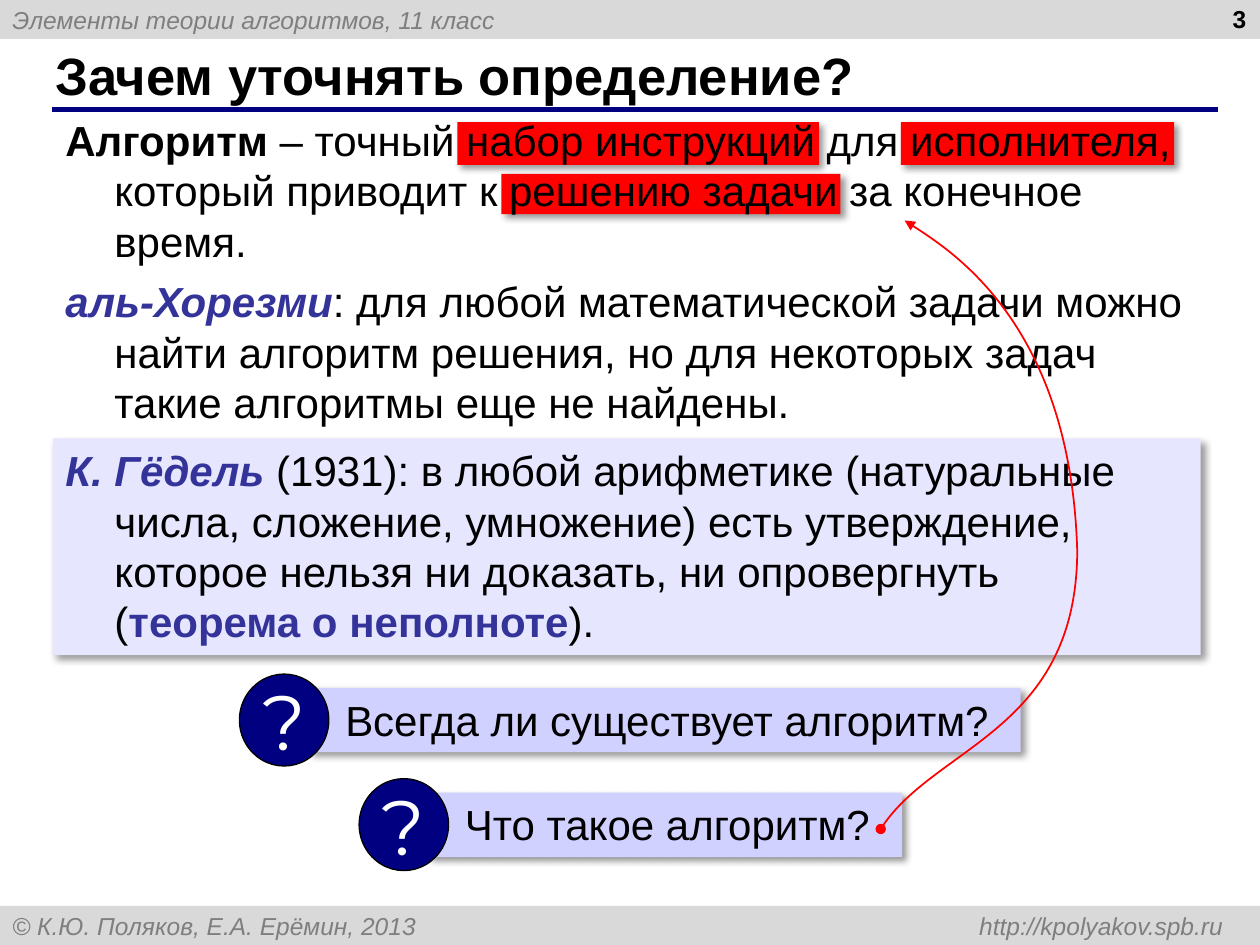
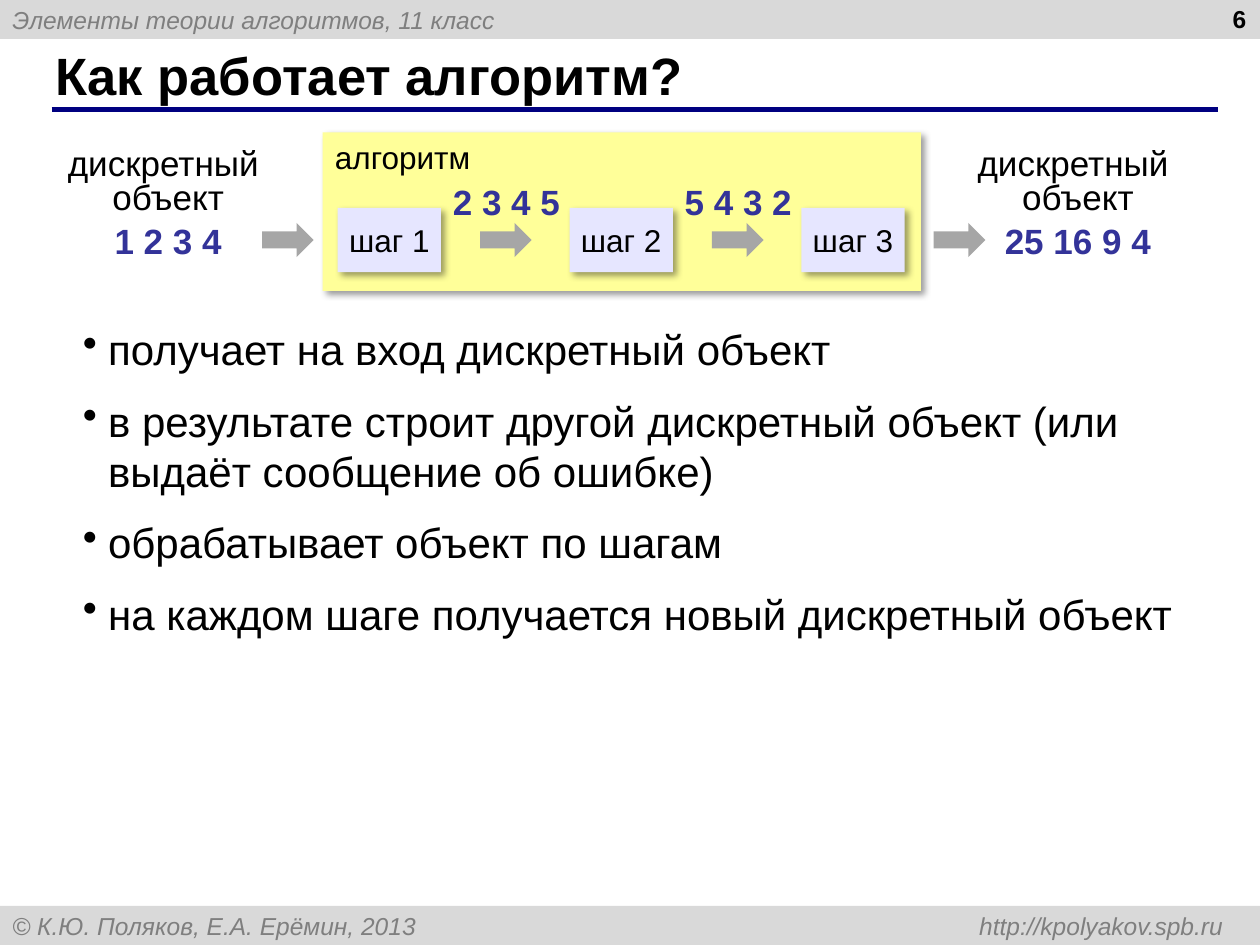
"""Builds two lesson slides on the definition and working of an algorithm."""
from lxml.etree import SubElement
from pptx import Presentation
from pptx.dml.color import RGBColor
from pptx.enum.shapes import MSO_CONNECTOR, MSO_SHAPE
from pptx.enum.text import MSO_ANCHOR, PP_ALIGN
from pptx.oxml.ns import qn
from pptx.util import Inches, Pt

COURSE = "Элементы теории алгоритмов, 11 класс"
AUTHORS = "© К.Ю. Поляков, Е.А. Ерёмин, 2013"
SITE = "http://kpolyakov.spb.ru"

BLACK, WHITE, NAVY, RED = "000000", "FFFFFF", "000080", "FF0000"
TERM, BAND, BAND_TEXT, ARROW = "333399", "D9D9D9", "7F7F7F", "A6A6A6"
PALE, QUESTION, YELLOW = "E6E6FF", "D1D1FF", "FFFF99"
STRONG = {"color": TERM, "bold": True}
NAME = {"color": TERM, "bold": True, "italic": True}

HIGHLIGHTS = [(3.63, 0.97, 2.87, 0.34), (3.98, 1.38, 2.69, 0.32), (7.15, 0.97, 2.17, 0.34)]
DEFINITION = [
    ("Алгоритм", {"bold": True}),
    (" – точный набор инструкций для исполнителя, который приводит "
     "к решению задачи за конечное время.", {}),
]
AL_KHWARIZMI = [
    ("аль-Хорезми", NAME),
    (": для любой математической задачи можно найти алгоритм решения, "
     "но для некоторых задач такие алгоритмы еще не найдены.", {}),
]
GODEL = [
    ("К. Гёдель ", NAME),
    ("(1931): в любой арифметике (натуральные числа, сложение, умножение) "
     "есть утверждение, которое нельзя ни доказать, ни опровергнуть (", {}),
    ("теорема о неполноте", STRONG),
    (").", {}),
]
QUESTIONS = [
    ("Всегда ли существует алгоритм?", 1.9, 5.35, 5.65),
    ("Что такое алгоритм?", 2.85, 6.18, 3.76),
]
CURVE = [(6.99, 6.58), (7.41, 5.92), (8.54, 5.79), (8.55, 4.38),
         (8.5, 2.52), (7.18, 1.75), (7.18, 1.75)]

STEPS = ["шаг 1", "шаг 2", "шаг 3"]
STEP_PITCH = 1.84
BETWEEN_STEPS = ["2 3 4 5", "5 4 3 2"]
OBJECTS = [("1 2 3 4", 0.32), ("25 16 9 4", 7.54)]
PROPERTIES = [
    "получает на вход дискретный объект",
    "в результате строит другой дискретный объект (или выдаёт сообщение об ошибке)",
    "обрабатывает объект по шагам",
    "на каждом шаге получается новый дискретный объект",
]


def rgb(value):
    return RGBColor.from_string(value)


def write(shape, paragraphs, size=24, color=BLACK, bold=False, italic=False, font="Arial",
          align=PP_ALIGN.LEFT, anchor=MSO_ANCHOR.TOP, wrap=True, side=0.1,
          hanging=0, bullet=None, line_spacing=None, before=0, after=0):
    """Fill a shape; each paragraph is a string or a list of (text, style) runs."""
    frame = shape.text_frame
    frame.word_wrap = wrap
    frame.vertical_anchor = anchor
    frame.margin_left = frame.margin_right = Inches(side)
    for index, content in enumerate(paragraphs):
        paragraph = frame.paragraphs[0] if index == 0 else frame.add_paragraph()
        paragraph.alignment = align
        paragraph.line_spacing = line_spacing
        paragraph.space_before, paragraph.space_after = Pt(before), Pt(after)
        properties = paragraph._p.get_or_add_pPr()
        if hanging:
            properties.set("marL", str(Inches(hanging)))
            properties.set("indent", str(-Inches(hanging)))
        if bullet:
            SubElement(properties, qn("a:buChar"), char=bullet)
        for text, style in [(content, {})] if isinstance(content, str) else content:
            run = paragraph.add_run()
            run.text = text
            run.font.name = font
            run.font.size = Pt(size)
            run.font.bold = style.get("bold", bold)
            run.font.italic = style.get("italic", italic)
            run.font.color.rgb = rgb(style.get("color", color))
    return shape


def add_text(slide, box, paragraphs, **style):
    return write(slide.shapes.add_textbox(*map(Inches, box)), paragraphs, **style)


def add_block(shapes, box, fill, kind=MSO_SHAPE.RECTANGLE, shadow=False):
    """Add a filled preset shape without outline, optionally with a soft shadow."""
    shape = shapes.add_shape(kind, *map(Inches, box))
    shape.shadow.inherit = False
    shape.fill.solid()
    shape.fill.fore_color.rgb = rgb(fill)
    shape.line.fill.background()
    if shadow:
        effects = shape._element.spPr.find(qn("a:effectLst"))
        outer = SubElement(effects, qn("a:outerShdw"), blurRad=str(Pt(4)), dist=str(Pt(3)),
                           dir="2700000", algn="tl", rotWithShape="0")
        tint = SubElement(outer, qn("a:srgbClr"), val=BLACK)
        SubElement(tint, qn("a:alpha"), val="40000")
    return shape


def add_slide(presentation, title, number):
    """Add a blank slide with the shared bands, rule, title and number."""
    slide = presentation.slides.add_slide(presentation.slide_layouts[6])
    for top, text in [(0, COURSE), (7.19, f"{AUTHORS}\t{SITE}")]:
        band = add_block(slide.shapes, (0, top, 10, 0.31), BAND)
        write(band, [text], size=14, color=BAND_TEXT, italic=True, anchor=MSO_ANCHOR.MIDDLE)
    tabs = SubElement(band.text_frame.paragraphs[0]._p.get_or_add_pPr(), qn("a:tabLst"))
    SubElement(tabs, qn("a:tab"), pos=str(Inches(9.61)), algn="r")
    rule = slide.shapes.add_connector(MSO_CONNECTOR.STRAIGHT,
                                      *map(Inches, (0.41, 0.87, 9.67, 0.87)))
    rule.line.color.rgb = rgb(NAVY)
    rule.line.width = Pt(3)
    SubElement(rule._element.spPr, qn("a:effectLst"))
    add_text(slide, (0.34, 0.33, 9.16, 0.52), [title], size=30, bold=True,
             anchor=MSO_ANCHOR.MIDDLE)
    add_text(slide, (7.66, -0.02, 2.33, 0.52), [str(number)], size=14, bold=True,
             align=PP_ALIGN.RIGHT)
    return slide


def add_question(slide, text, left, top, width):
    """Add a grouped question bar with a round question mark."""
    shapes = slide.shapes.add_group_shape().shapes
    bar = add_block(shapes, (left + 0.55, top + 0.11, width, 0.51), QUESTION, shadow=True)
    write(bar, [text], side=0.29, wrap=False)
    badge = add_block(shapes, (left, top, 0.71, 0.73), NAVY, MSO_SHAPE.OVAL)
    badge.line.color.rgb = rgb(BLACK)
    badge.line.width = Pt(0.75)
    write(badge, ["?"], size=44, color=WHITE, font="Montserrat", wrap=False,
          align=PP_ALIGN.CENTER, anchor=MSO_ANCHOR.MIDDLE)


def add_curve(slide, points):
    """Draw a Bézier arrow; after the start, every three points form one segment."""
    start, *controls = [(Inches(x), Inches(y)) for x, y in points]
    builder = slide.shapes.build_freeform(*start)
    builder.add_line_segments(controls, close=False)
    curve = builder.convert_to_shape()
    curve.shadow.inherit = False
    curve.fill.background()
    curve.line.color.rgb = rgb(RED)
    curve.line.width = Pt(1)
    outline = next(curve._element.iter(qn("a:path")))
    segments = outline.findall(qn("a:lnTo"))
    for index in range(0, len(segments), 3):
        bezier = SubElement(outline, qn("a:cubicBezTo"))
        for segment in segments[index:index + 3]:
            bezier.append(segment[0])
            outline.remove(segment)
    line = curve._element.spPr.find(qn("a:ln"))
    SubElement(line, qn("a:headEnd"), type="oval")
    SubElement(line, qn("a:tailEnd"), type="triangle")


def build_definition(presentation):
    slide = add_slide(presentation, "Зачем уточнять определение?", 3)
    for box in HIGHLIGHTS:
        add_block(slide.shapes, box, RED, shadow=True)
    add_text(slide, (0.42, 0.86, 9.23, 1.31), [DEFINITION], hanging=0.39)
    add_text(slide, (0.42, 2.14, 9.11, 1.32), [AL_KHWARIZMI], hanging=0.39)
    theorem = add_block(slide.shapes, (0.42, 3.48, 9.11, 1.72), PALE, shadow=True)
    write(theorem, [GODEL], hanging=0.39)
    for question in QUESTIONS:
        add_question(slide, *question)
    add_curve(slide, CURVE)


def build_working(presentation):
    slide = add_slide(presentation, "Как работает алгоритм?", 6)
    machine = add_block(slide.shapes, (2.56, 1.05, 4.75, 1.26), YELLOW, shadow=True)
    write(machine, ["алгоритм"], size=18)
    for index, text in enumerate(STEPS):
        step = add_block(slide.shapes, (2.68 + index * STEP_PITCH, 1.65, 0.82, 0.51),
                         PALE, shadow=True)
        write(step, [text], size=18, side=0, align=PP_ALIGN.CENTER, anchor=MSO_ANCHOR.MIDDLE)
    for left in (2.08, 3.81, 3.81 + STEP_PITCH, 7.41):
        add_block(slide.shapes, (left, 1.77, 0.41, 0.27), ARROW, MSO_SHAPE.RIGHT_ARROW)
    for index, values in enumerate(BETWEEN_STEPS):
        add_text(slide, (3.49 + index * STEP_PITCH, 1.45, 1.06, 0.37), [values], size=20,
                 align=PP_ALIGN.CENTER, wrap=False, line_spacing=0.8, before=6, **STRONG)
    for values, left in OBJECTS:
        label = add_text(slide, (left, 1.14, 2.03, 0.99),
                         ["дискретный ", "объект", [(values, STRONG)]],
                         size=20, align=PP_ALIGN.CENTER, line_spacing=0.8)
        label.text_frame.paragraphs[-1].space_before = Pt(6)
    add_text(slide, (0.56, 2.52, 9.11, 2.62), PROPERTIES, hanging=0.2, bullet="•", after=12)


def main():
    presentation = Presentation()
    presentation.slide_width, presentation.slide_height = Inches(10), Inches(7.5)
    build_definition(presentation)
    build_working(presentation)
    presentation.save("out.pptx")


if __name__ == "__main__":
    main()
